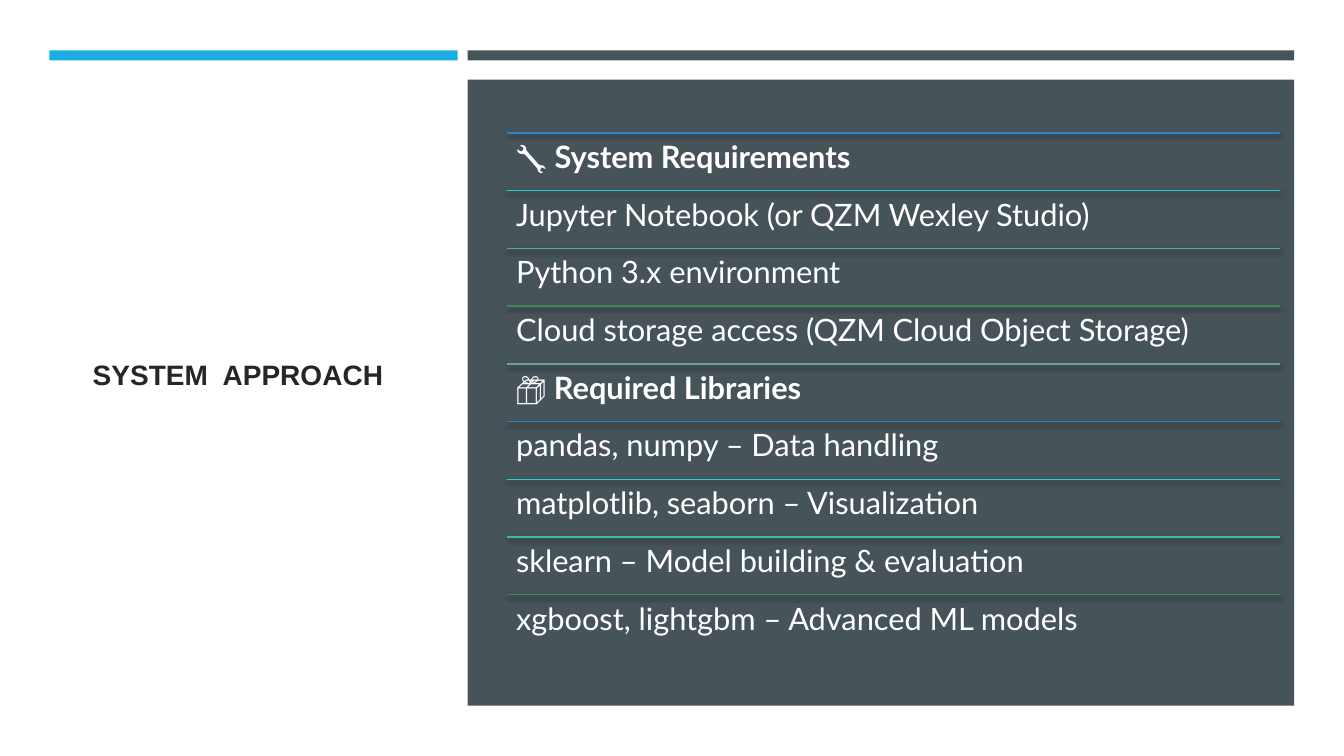
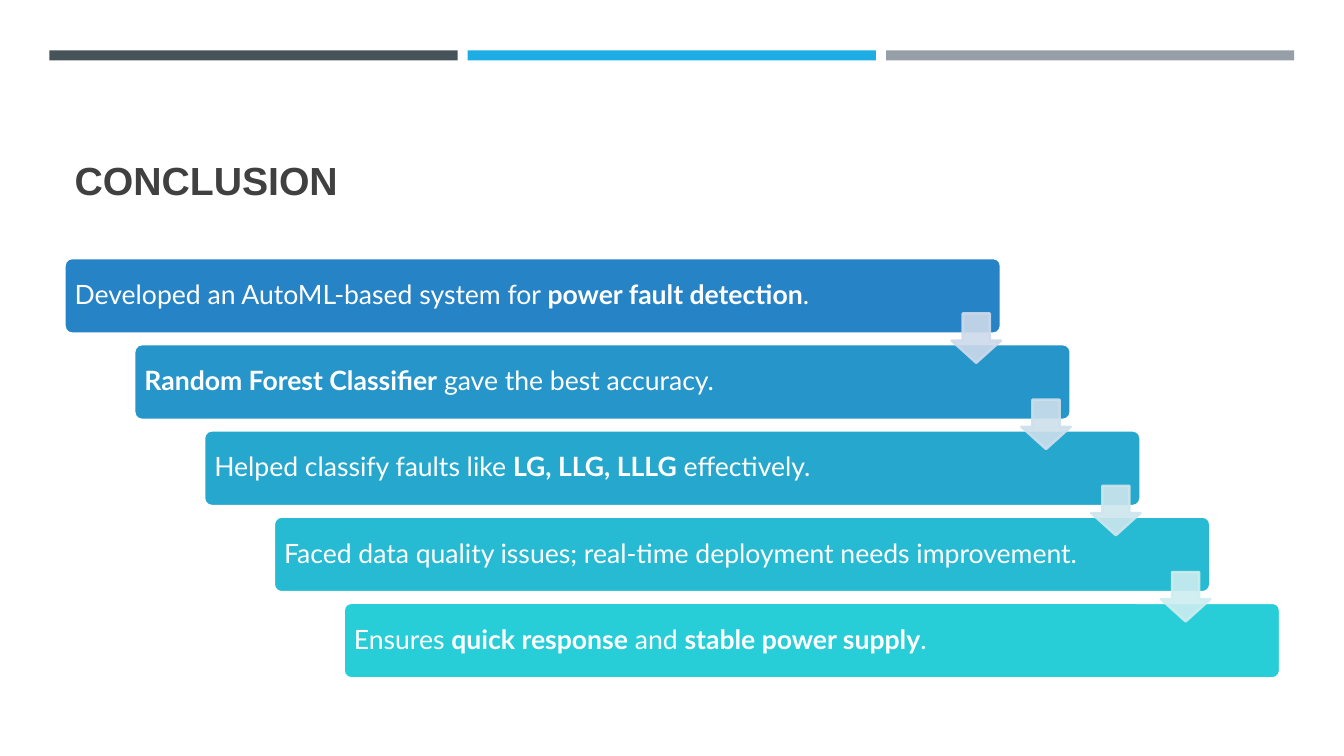
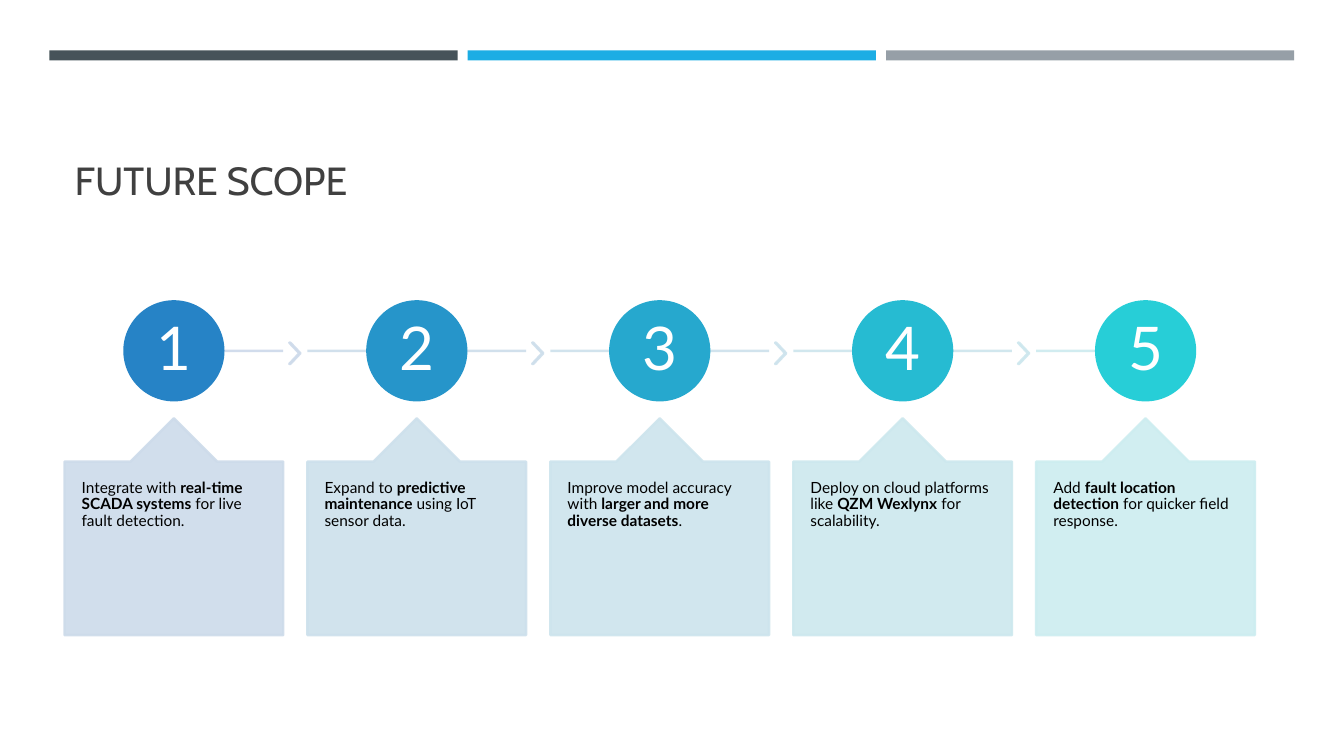
from lxml.etree import SubElement as Sub
from pptx import Presentation as Deck
from pptx.dml.color import RGBColor as Rgb
from pptx.enum.shapes import MSO_CONNECTOR as Wire, MSO_SHAPE as Kind
from pptx.enum.text import MSO_ANCHOR as Anchor, MSO_AUTO_SIZE as Fit, PP_ALIGN as Align
from pptx.oxml.ns import qn
from pptx.util import Inches, Pt

COLS, ROWS = 160, 90
HUES = {
    "white": "FFFFFF", "black": "000000", "ink": "262626", "head": "404040",
    "slate": "465359", "sky": "1CADE4", "grey": "969FA7",
    "blue": "2683C6", "aqua": "27CED7", "mint": "42BA97", "green": "3E8853", "sage": "62A39F",
    "pale": "CDD9EA", "light": "CDEDF0",
}


def mix(first, last, share):
    """Return the hex colour at a share of the way between two named colours."""
    pairs = zip(bytes.fromhex(HUES[first]), bytes.fromhex(HUES[last]))
    return "".join(f"{int(a + (b - a) * share):02X}" for a, b in pairs)


class Kit:
    """Hold the deck's style and draw on the current slide in grid units."""

    left, step, band = 5.88, 49.8, 48.6
    edge = 7.68

    def __init__(self):
        """Open a wide deck."""
        self.deck = Deck()
        self.deck.slide_width, self.deck.slide_height = Inches(13.333), Inches(7.5)
        self.wide = self.deck.slide_width / COLS
        self.high = self.deck.slide_height / ROWS

    def area(self, x, y, w, h):
        """Turn grid units into slide lengths."""
        return [int(v * u) for v, u in zip((x, y, w, h), (self.wide, self.high) * 2)]

    def tint(self, hue):
        """Return a colour by name or hex string."""
        return Rgb.from_string(HUES.get(hue, hue))

    def fade(self, item):
        """Make the fill and line of an item slightly clear."""
        for node in item._element.spPr.iter(qn("a:srgbClr")):
            Sub(node, qn("a:alpha"), val="90000")

    def page(self, layout, bands):
        """Start a slide with its top bands, each given as colour and span."""
        self.slide = self.deck.slides.add_slide(self.deck.slide_layouts[layout])
        col = 0
        for hue, span in bands:
            self.block(Kind.RECTANGLE, self.span(col, span, 6, 1.2), hue)
            col += span

    def span(self, col, count, y, h):
        """Return the box that covers a count of band columns."""
        return self.left + col * self.step, y, (count - 1) * self.step + self.band, h

    def block(self, kind, box, hue, line=None, bends=(), clear=False):
        """Draw a filled preset shape."""
        item = self.slide.shapes.add_shape(kind, *self.area(*box))
        item.shadow.inherit = False
        item.fill.solid()
        item.fill.fore_color.rgb = self.tint(hue)
        if line:
            item.line.color.rgb = self.tint(line)
            item.line.width = Pt(1.75)
        else:
            item.line.fill.background()
        for spot, bend in enumerate(bends):
            item.adjustments[spot] = bend
        if clear:
            self.fade(item)
        return item

    def rule(self, x, y, end, hue, width, shade=False):
        """Draw a level line, with or without a soft shadow."""
        start, top, stop, _ = self.area(x, y, end, 0)
        item = self.slide.shapes.add_connector(Wire.STRAIGHT, start, top, stop, top)
        item.line.color.rgb = self.tint(hue)
        item.line.width = Pt(width)
        if not shade:
            self.fade(item)
        glow = Sub(item._element.spPr, qn("a:effectLst"))
        if shade:
            cast = Sub(glow, qn("a:outerShdw"), blurRad="38100", dist="25400", dir="5400000")
            Sub(Sub(cast, qn("a:srgbClr"), val=HUES["black"]), qn("a:alpha"), val="55000")

    def frame(self, item, anchor, pad):
        """Set how text sits in a shape and return its frame."""
        text = item.text_frame
        text.word_wrap, text.auto_size, text.vertical_anchor = True, Fit.NONE, anchor
        text.margin_left = text.margin_right = Inches(pad[0])
        text.margin_top = text.margin_bottom = Inches(pad[1])
        return text

    def phrase(self, para, words, size, hue, font="Lato", align=Align.LEFT, space=0.9):
        """Fill a paragraph, with words between stars in bold."""
        para.alignment, para.line_spacing = align, space
        for spot, part in enumerate(words.split("*")):
            if part:
                run = para.add_run()
                run.text = part
                run.font.size, run.font.name = Pt(size), font
                run.font.bold = spot % 2 == 1
                run.font.color.rgb = self.tint(hue)

    def label(self, item, words, size, hue, anchor=Anchor.MIDDLE, pad=(0.08, 0.08), align=Align.LEFT):
        """Put one paragraph in a shape."""
        self.phrase(self.frame(item, anchor, pad).paragraphs[0], words, size, hue, align=align)

    def place(self, item, box):
        """Move a placeholder to a box, in front of all else."""
        item.left, item.top, item.width, item.height = self.area(*box)
        self.slide.shapes._spTree.append(item._element)

    def title(self, words, box=(7.68, 9.24, 144.72, 15.6), size=28, hue="head",
              font="Arial", anchor=Anchor.BOTTOM):
        """Fill the title placeholder."""
        item = self.slide.shapes.title
        self.place(item, box)
        para = self.frame(item, anchor, (0.1, 0.05)).paragraphs[0]
        self.phrase(para, words, size, hue, font, space=1.0)

    def items(self, lines, box, size, pitch):
        """Fill the body placeholder with plain lines at a fixed pitch."""
        item = self.slide.placeholders[1]
        self.place(item, box)
        text = self.frame(item, Anchor.TOP, (0.09, 0))
        for spot, words in enumerate(lines):
            para = text.add_paragraph() if spot else text.paragraphs[0]
            para.space_before = para.space_after = Pt(0)
            self.phrase(para, words, size, "white", space=Pt(pitch * self.high / Pt(1)))
            props = para._p.get_or_add_pPr()
            props.set("marL", "0")
            props.set("indent", "0")
            Sub(props, qn("a:buNone"))


def needs(kit):
    """Build the slide on the system approach."""
    kit.page(1, [("sky", 1), ("slate", 2)])
    kit.block(Kind.RECTANGLE, kit.span(1, 2, 9.48, 74.52), "slate")
    kit.title("*SYSTEM  APPROACH*", (9.84, 13.68, 40.08, 61.8), 20, "ink", anchor=Anchor.MIDDLE)
    lines = [
        "🔧 *System Requirements*",
        "Jupyter Notebook (or QZM Wexley Studio)",
        "Python 3.x environment",
        "Cloud storage access (QZM Cloud Object Storage)",
        "📦 *Required Libraries*",
        "pandas, numpy – Data handling",
        "matplotlib, seaborn – Visualization",
        "sklearn – Model building & evaluation",
        "xgboost, lightgbm – Advanced ML models",
    ]
    hues = ["blue", "aqua", "mint", "green", "sage"]
    x, y, w, pitch = 60.36, 15.84, 92.04, 6.87
    for row in range(len(lines)):
        kit.rule(x, y + row * pitch, x + w, hues[row % len(hues)], 1, shade=True)
    kit.items(lines, (x, y - 1.92, w, pitch * len(lines)), 22, pitch)


def close(kit):
    """Build the stair of conclusions."""
    kit.page(5, [("slate", 1), ("sky", 1), ("grey", 1)])
    kit.title("*CONCLUSION*")
    lines = [
        "Developed an AutoML-based system for *power fault detection*.",
        "*Random Forest Classifier* gave the best accuracy.",
        "Helped classify faults like *LG, LLG, LLLG* effectively.",
        "Faced data quality issues; real-time deployment needs improvement.",
        "Ensures *quick response* and *stable power supply*.",
    ]
    w, h, right, down, side = 111.48, 9, 8.31, 10.26, 5.88
    last = len(lines) - 1
    for row, words in enumerate(lines):
        box = kit.edge + row * right, 30.72 + row * down, w, h
        bar = kit.block(Kind.ROUNDED_RECTANGLE, box, mix("blue", "aqua", row / last), "white", [0.1])
        kit.label(bar, words, 19, "white")
    for row in range(last):
        hue = mix("pale", "light", row / (last - 1))
        box = kit.edge + row * right + w - side, 37.32 + row * down, side, side
        kit.block(Kind.DOWN_ARROW, box, hue, hue, [0.55, 0.45], clear=True)


def scope(kit):
    """Build the five steps of future scope."""
    kit.page(5, [("slate", 1), ("sky", 1), ("grey", 1)])
    kit.title("FUTURE SCOPE", font="Cabin")
    lines = [
        "Integrate with *real-time SCADA systems* for live fault detection.",
        "Expand to *predictive maintenance* using IoT sensor data.",
        "Improve model accuracy with *larger and more diverse datasets*.",
        "Deploy on cloud platforms like *QZM Wexlynx* for scalability.",
        "Add *fault location detection* for quicker field response.",
    ]
    w, pitch, disc, axis = 26.04, 28.92, 11.76, 41.76
    last = len(lines) - 1
    for col, words in enumerate(lines):
        x = kit.edge + col * pitch
        mid = x + w / 2
        wire, tip, card = [mix("pale", "light", (3 * col + k) / (3 * last + 2)) for k in range(3)]
        kit.rule(x if col else mid, axis, x + w if col < last else mid, wire, 1.75)
        if col < last:
            kit.block(Kind.CHEVRON, (x + 26.76, 40.8, 1.32, 2.52), tip, tip, [0.9], clear=True)
        hue = mix("blue", "aqua", col / last)
        dot = kit.block(Kind.OVAL, (mid - disc / 2, axis - disc / 2, disc, disc), hue, hue)
        kit.label(dot, str(col + 1), 43, "white", pad=(0.04, 0.04), align=Align.CENTER)
        note = kit.block(Kind.UP_ARROW_CALLOUT, (x, 49.8, w, 25.8), card, card,
                         [0.5, 0.2, 0.2, 1], clear=True)
        kit.label(note, words, 11, "black", Anchor.TOP, (0.17, 0.18))


def main():
    """Build and save the deck."""
    kit = Kit()
    for build in (needs, close, scope):
        build(kit)
    kit.deck.save("out.pptx")


if __name__ == "__main__":
    main()
